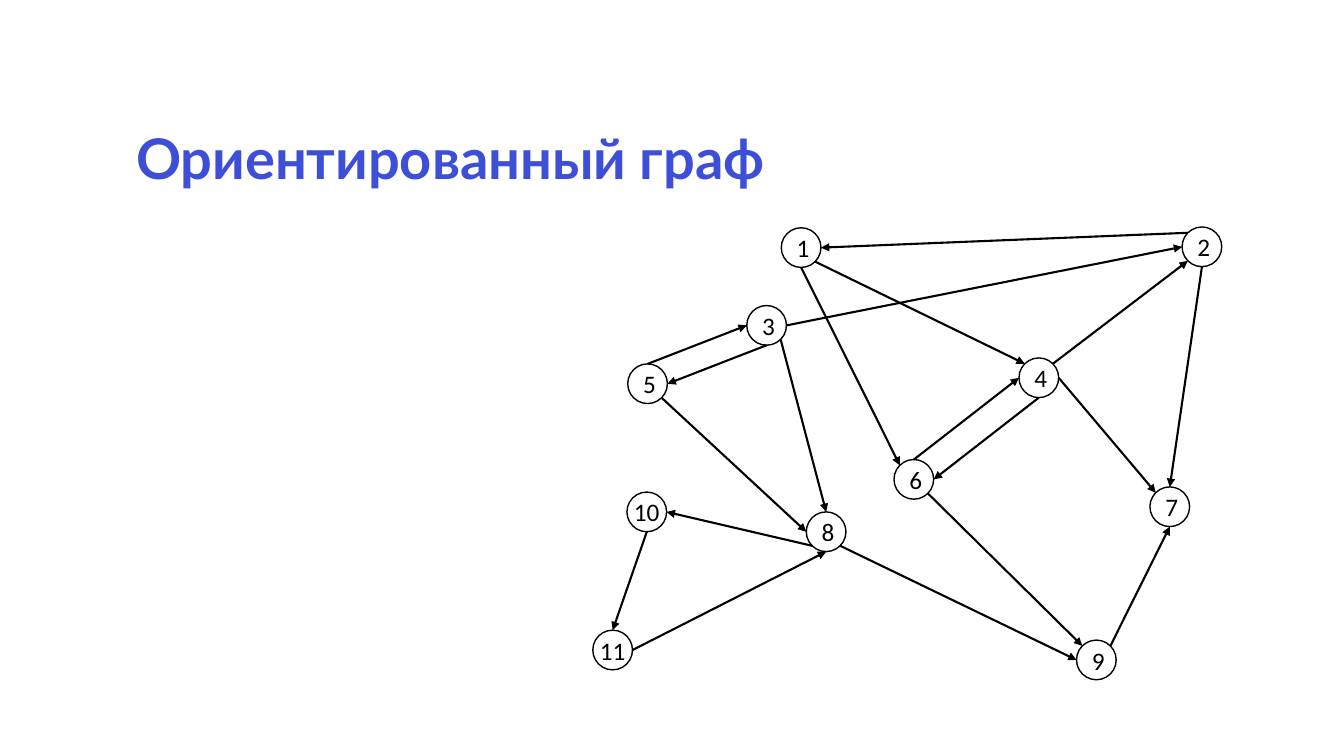
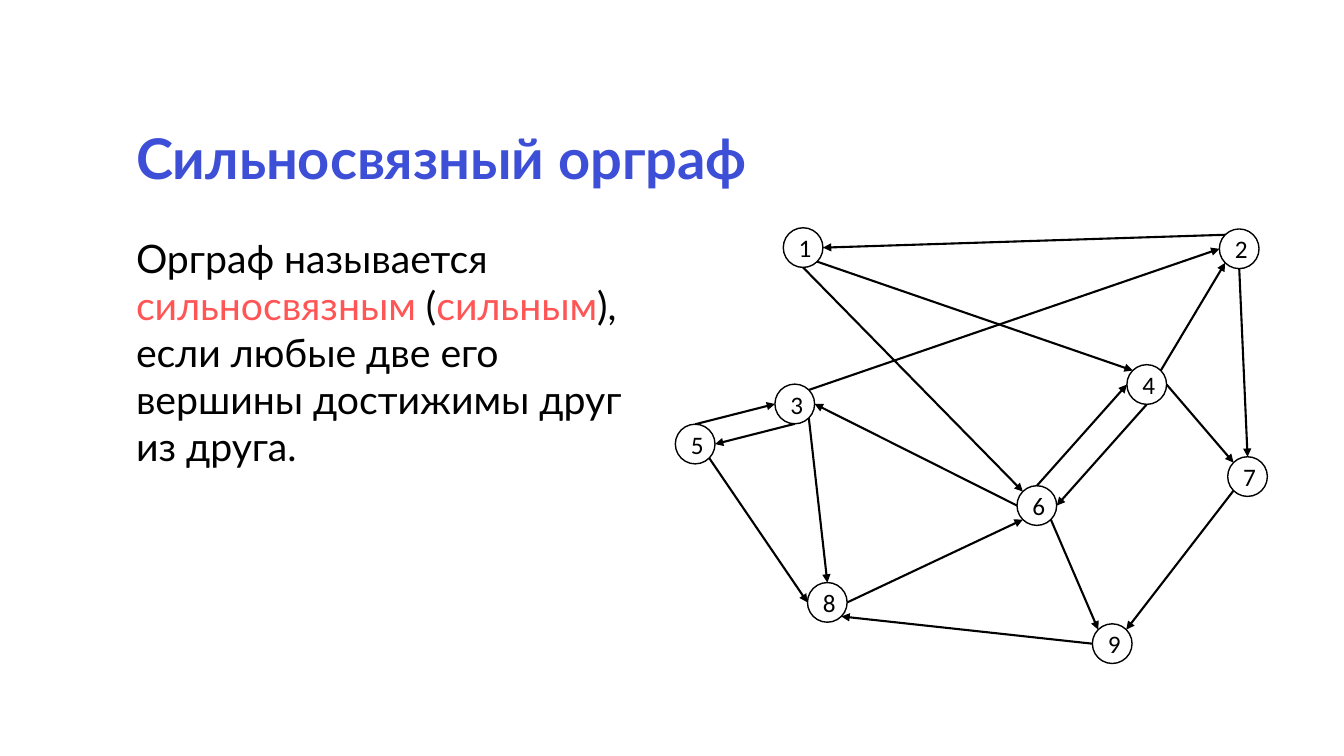
from math import sqrt

from lxml import etree
from pptx import Presentation
from pptx.dml.color import RGBColor
from pptx.enum.shapes import MSO_CONNECTOR, MSO_SHAPE
from pptx.enum.text import MSO_ANCHOR, PP_ALIGN
from pptx.oxml.ns import qn
from pptx.util import Cm, Pt

ELLIPSE = MSO_SHAPE.OVAL
STRAIGHT = MSO_CONNECTOR.STRAIGHT
MIDDLE = MSO_ANCHOR.MIDDLE
CENTER = PP_ALIGN.CENTER

COLORS = {"title": "3D4ED7", "accent": "FF5555", "ink": "000000", "paper": "FFFFFF"}
TEXT_FONT, NODE_FONT = "Lato", "Calibri"
TITLE_BOX = (3.18, 3.18, 19.35, 2.03)
BODY_BOX = (3.18, 5.77, 13.74, 6.25)
NODE_SIZE = 1

# Edges found in both graphs: from, side, to, side
COMMON_EDGES = [
    ("5", "n", "3", "w"), ("3", "s", "5", "e"), ("1", "s", "6", "nw"),
    ("1", "se", "4", "nw"), ("2", "nw", "1", "e"), ("2", "s", "7", "n"),
    ("3", "se", "8", "n"), ("4", "ne", "2", "sw"), ("4", "e", "7", "nw"),
    ("4", "s", "6", "e"), ("6", "n", "4", "w"), ("5", "se", "8", "w"),
    ("6", "se", "9", "nw"),
]

# Node positions are the left and top of each circle, in cm
SLIDES = [
    {
        "title": "Ориентированный граф",
        "body": [],
        "nodes": {
            "3": (18.82, 7.7), "5": (15.82, 9.17), "1": (19.69, 5.74),
            "2": (29.79, 5.72), "4": (25.68, 9.02), "6": (22.53, 11.58),
            "7": (28.98, 12.27), "9": (27.13, 16.13), "8": (20.32, 12.9),
            "10": (15.8, 12.4), "11": (14.94, 15.88),
        },
        "edges": [
            ("3", "e", "2", "w"), ("8", "se", "9", "w"), ("8", "sw", "10", "e"),
            ("9", "ne", "7", "s"), ("10", "s", "11", "n"), ("11", "e", "8", "s"),
        ],
    },
    {
        "title": "Сильносвязный орграф",
        "body": [
            ("Орграф называется ", "ink"), ("сильносвязным ", "accent"),
            ("(", "ink"), ("сильным", "accent"),
            ("), если любые две его вершины достижимы друг из друга.", "ink"),
        ],
        "nodes": {
            "3": (19.53, 9.68), "5": (17.02, 10.69), "1": (19.74, 5.74),
            "2": (30.73, 5.77), "4": (28.4, 9.19), "6": (25.63, 12.24),
            "7": (30.94, 11.51), "9": (27.53, 15.72), "8": (20.35, 14.68),
        },
        "edges": [
            ("3", "ne", "2", "w"), ("9", "w", "8", "se"), ("7", "sw", "9", "ne"),
            ("8", "e", "6", "sw"), ("6", "w", "3", "e"),
        ],
    },
]


def color(name):
    return RGBColor.from_string(COLORS[name])


def add_span(para, text, font, size, color_name, bold=False):
    span = para.add_run()
    span.text = text
    span.font.name = font
    span.font.size = Pt(size)
    span.font.bold = bold
    span.font.color.rgb = color(color_name)


def add_text_box(page, place):
    """Add a wrapping text box and return its first paragraph."""
    frame = page.shapes.add_textbox(*map(Cm, place)).text_frame
    frame.word_wrap = True
    return frame.paragraphs[0]


def add_node(page, label, corner):
    node = page.shapes.add_shape(ELLIPSE, *map(Cm, corner), Cm(NODE_SIZE), Cm(NODE_SIZE))
    node.shadow.inherit = False
    node.fill.solid()
    node.fill.fore_color.rgb = color("paper")
    node.line.color.rgb = color("ink")
    node.line.width = Pt(1)
    frame = node.text_frame
    frame.word_wrap = False
    frame.vertical_anchor = MIDDLE
    frame.margin_right = frame.margin_top = frame.margin_bottom = 0
    frame.margin_left = Cm(0.1 if len(label) == 1 else 0)
    para = frame.paragraphs[0]
    para.alignment = CENTER
    add_span(para, label, NODE_FONT, 18, "ink")


def rim_point(corner, side):
    """Point of a circle's rim in the given compass direction."""
    dx = ("e" in side) - ("w" in side)
    dy = ("s" in side) - ("n" in side)
    radius = NODE_SIZE / 2
    reach = radius / sqrt(dx * dx + dy * dy)
    left, top = corner
    return Cm(left + radius + dx * reach), Cm(top + radius + dy * reach)


def add_arrow(page, start, end):
    arrow = page.shapes.add_connector(STRAIGHT, *start, *end)
    arrow.line.color.rgb = color("ink")
    arrow.line.width = Pt(1.5)
    etree.SubElement(arrow.line._get_or_add_ln(), qn("a:tailEnd"), type="triangle")
    etree.SubElement(arrow._element.spPr, qn("a:effectLst"))


def add_graph(page, nodes, edges):
    for label, corner in nodes.items():
        add_node(page, label, corner)
    for source, source_side, target, target_side in edges:
        add_arrow(page, rim_point(nodes[source], source_side),
                  rim_point(nodes[target], target_side))


def main():
    deck = Presentation()
    deck.slide_width, deck.slide_height = Cm(33.87), Cm(19.05)
    for content in SLIDES:
        page = deck.slides.add_slide(deck.slide_layouts[6])

        # Title
        para = add_text_box(page, TITLE_BOX)
        para.line_spacing = 0.9
        add_span(para, content["title"], TEXT_FONT, 40, "title", bold=True)

        # Definition
        if content["body"]:
            para = add_text_box(page, BODY_BOX)
            for text, color_name in content["body"]:
                add_span(para, text, TEXT_FONT, 28, color_name)

        add_graph(page, content["nodes"], COMMON_EDGES + content["edges"])
    deck.save("out.pptx")


if __name__ == "__main__":
    main()
